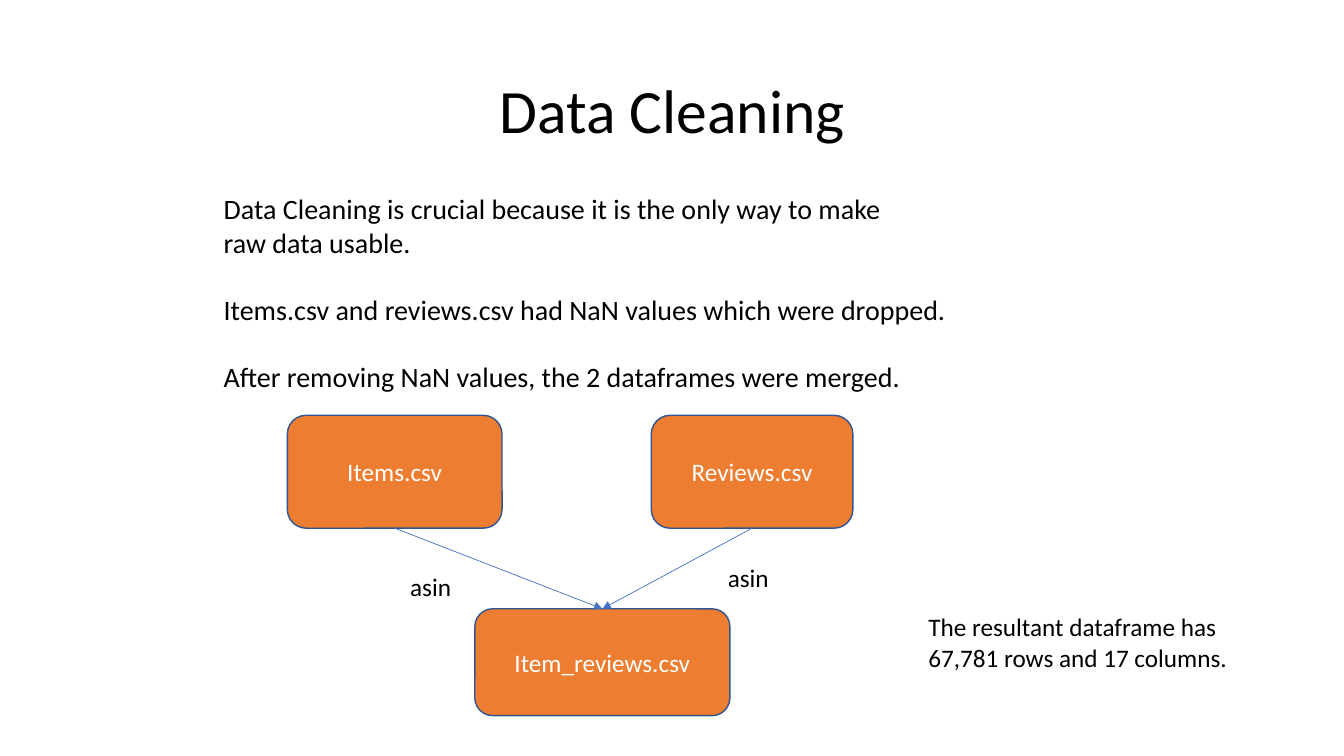
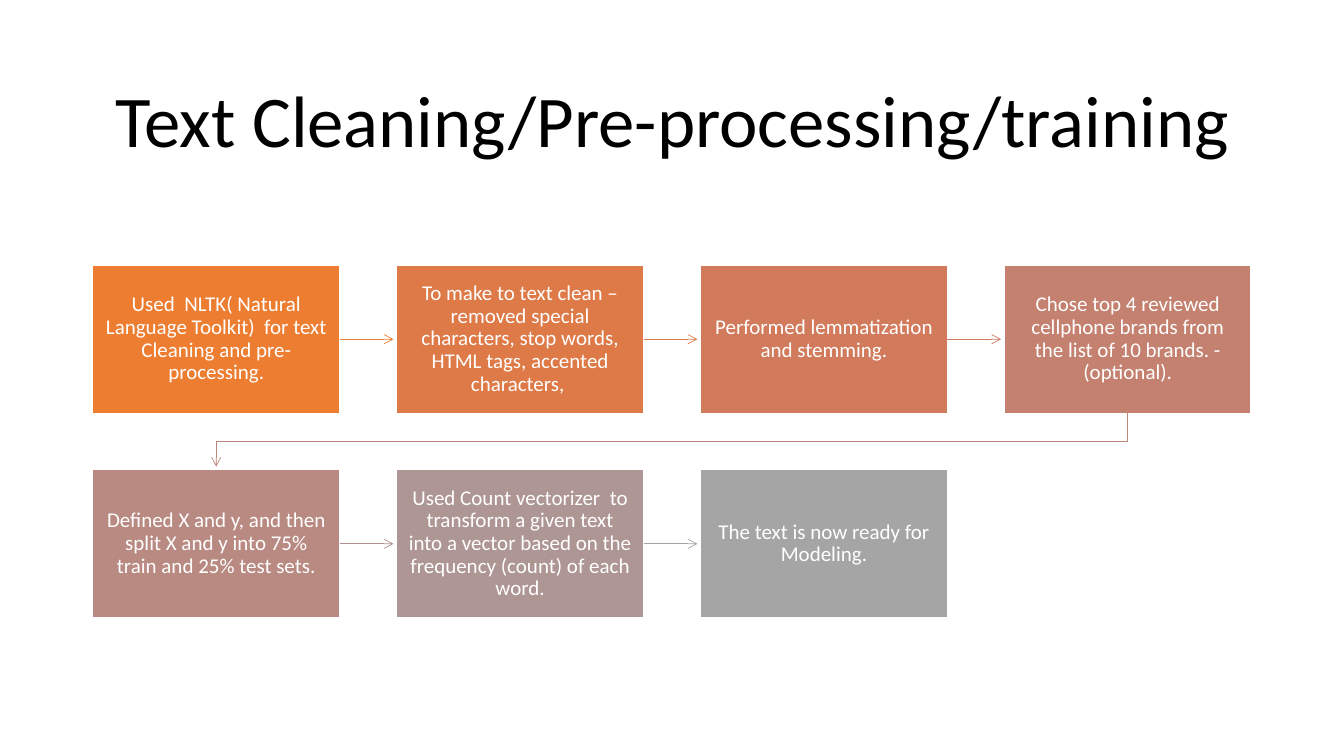
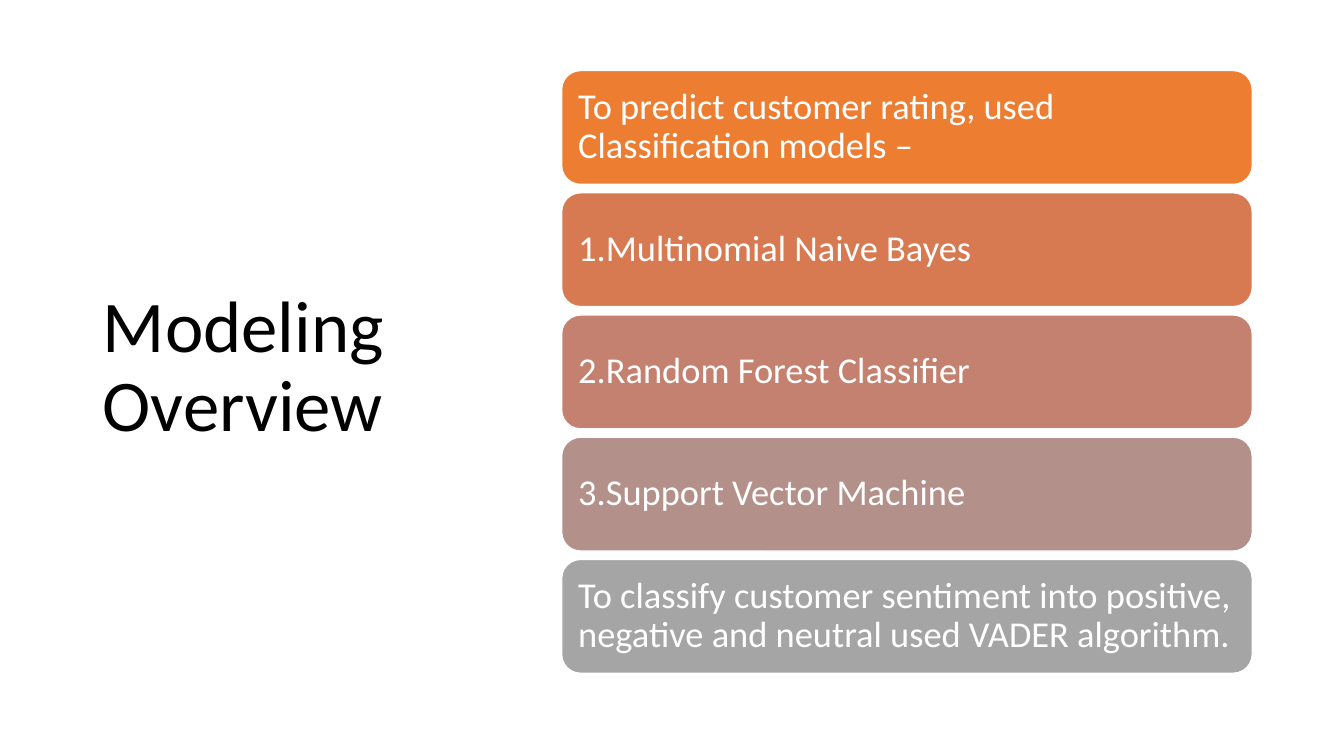
import pptx
import pptx.util
import pptx.dml.color
import pptx.enum.shapes
import pptx.enum.text
import pptx.oxml.ns
from lxml import etree

Inches, Pt = pptx.util.Inches, pptx.util.Pt
SHAPES = pptx.enum.shapes.MSO_SHAPE
ANCHOR = pptx.enum.text.MSO_ANCHOR
ALIGN = pptx.enum.text.PP_ALIGN

FONT = "Calibri"
BLACK, WHITE, ORANGE, GREY = "000000", "FFFFFF", "ED7D31", "A5A5A5"
NAVY, BLUE = "325491", "4472C4"
NBSP = chr(160)
MARGIN, CONTENT_WIDTH = 0.92, 11.49

CLEANING_NOTES = [
    f"Data Cleaning is crucial because it is the only way to make raw{NBSP}data{NBSP}usable.",
    "Items.csv and reviews.csv had NaN values which were dropped.",
    "After removing NaN values, the 2 dataframes were merged.",
]
RESULT_NOTES = ["The resultant dataframe has", "67,781 rows and 17 columns."]
SOURCE_FILES = [
    ("Items.csv", (2.85, 4.12, 2.13, 1.12)),
    ("Reviews.csv", (6.46, 4.12, 2, 1.12)),
]
MERGED_FILE = ("Item_reviews.csv", (4.71, 6.04, 2.53, 1.06))
JOIN_KEY = "asin"
JOIN_KEY_BOXES = [(7.12, 5.53, 0.84, 0.4), (3.97, 5.62, 0.73, 0.4)]

# Step text, box colour, colour of the arrow to the next step
STEPS = [
    ("Used  NLTK( Natural Language Toolkit)  for text Cleaning and pre-processing.",
     ORANGE, ORANGE),
    ("To make to text clean – removed special characters, stop words, HTML tags, "
     "accented characters, ", "DE7A47", "DC7A4B"),
    ("Performed lemmatization and stemming.", "D17B5C", "CC7D64"),
    ("Chose top 4 reviewed cellphone brands from the list of 10 brands. - (optional).",
     "C48170", "BD867B"),
    ("Defined X and y, and then split X and y into 75% train and 25% test sets.",
     "B98A82", "B09391"),
    ("Used Count vectorizer  to transform a given text into a vector based on the "
     "frequency (count) of each word.", "AE9694", GREY),
    ("The text is now ready for Modeling.", GREY, None),
]
MODELS = [
    ("To predict customer rating, used Classification models –", ORANGE),
    ("1.Multinomial Naive Bayes", "D87A51"),
    ("2.Random Forest Classifier", "C48170"),
    ("3.Support Vector Machine", "B4908B"),
    ("To classify customer sentiment into positive, negative and neutral used "
     "VADER algorithm.", GREY),
]


def color(value):
    return pptx.dml.color.RGBColor.from_string(value)


def inches(values):
    return [Inches(value) for value in values]


def write(frame, lines, size, text_color=BLACK, align=ALIGN.LEFT, anchor=ANCHOR.TOP,
          spacing=None, after=0, insets=(0.1, 0.05)):
    """Fill a text frame, one paragraph per line; insets are horizontal, vertical."""
    frame.word_wrap = True
    frame.auto_size = pptx.enum.text.MSO_AUTO_SIZE.NONE
    frame.vertical_anchor = anchor
    frame.margin_left = frame.margin_right = Inches(insets[0])
    frame.margin_top = frame.margin_bottom = Inches(insets[1])
    for index, line in enumerate(lines):
        paragraph = frame.add_paragraph() if index else frame.paragraphs[0]
        paragraph.alignment = align
        paragraph.space_after = Pt(after)
        if spacing:
            paragraph.line_spacing = spacing
        run = paragraph.add_run()
        run.text = line
        run.font.name, run.font.size = FONT, Pt(size)
        run.font.color.rgb = color(text_color)


def add_titled_slide(presentation, title, box, size, align=ALIGN.CENTER):
    slide = presentation.slides.add_slide(presentation.slide_layouts[5])
    shape = slide.shapes.title
    shape.left, shape.top, shape.width, shape.height = inches(box)
    write(shape.text_frame, [title], size, align=align, anchor=ANCHOR.MIDDLE, spacing=0.9)
    return slide


def add_text(slide, box, lines, size, after=0):
    write(slide.shapes.add_textbox(*inches(box)).text_frame, lines, size, after=after)


def add_box(slide, kind, box, text, fill, line, size, **style):
    shape = slide.shapes.add_shape(kind, *inches(box))
    shape.shadow.inherit = False
    shape.fill.solid()
    shape.fill.fore_color.rgb = color(fill)
    shape.line.color.rgb = color(line)
    shape.line.width = Pt(1)
    write(shape.text_frame, [text], size, WHITE, anchor=ANCHOR.MIDDLE, **style)


def style_arrow(shape, line_color, head):
    shape.line.color.rgb = color(line_color)
    shape.line.width = Pt(0.5)
    etree.SubElement(shape.line._get_or_add_ln(), pptx.oxml.ns.qn("a:tailEnd"), type=head)


def add_arrow(slide, start, end, line_color, head):
    connector = slide.shapes.add_connector(
        pptx.enum.shapes.MSO_CONNECTOR.STRAIGHT, *inches(start + end))
    style_arrow(connector, line_color, head)
    etree.SubElement(connector._element.spPr, pptx.oxml.ns.qn("a:effectLst"))


def add_bent_arrow(slide, points, line_color, head):
    start, *rest = [inches(point) for point in points]
    builder = slide.shapes.build_freeform(*start)
    builder.add_line_segments(rest, close=False)
    shape = builder.convert_to_shape()
    shape.shadow.inherit = False
    shape.fill.background()
    style_arrow(shape, line_color, head)


def build_data_cleaning(presentation):
    slide = add_titled_slide(presentation, "Data Cleaning", (MARGIN, 0.4, 11.5, 1.45), 44)
    add_text(slide, (2.12, 1.85, 8.17, 2.2), CLEANING_NOTES, 20, after=24)
    for text, box in SOURCE_FILES + [MERGED_FILE]:
        add_box(slide, SHAPES.ROUNDED_RECTANGLE, box, text, ORANGE, NAVY, 18,
                align=ALIGN.CENTER)
    for box in JOIN_KEY_BOXES:
        add_text(slide, box, [JOIN_KEY], 18)
    left, top, width, _ = MERGED_FILE[1]
    merge_point = (left + width / 2, top)
    for _, (left, top, width, height) in SOURCE_FILES:
        add_arrow(slide, (left + width / 2, top + height), merge_point, BLUE, "triangle")
    add_text(slide, (9.11, 6.02, 3.75, 0.7), RESULT_NOTES, 18)


def build_text_cleaning(presentation):
    slide = add_titled_slide(presentation, "Text Cleaning/Pre-processing/training",
                             (MARGIN, 0.61, 11.5, 1.24), 52)
    columns, width, height, row_pitch, gap = 4, 2.45, 1.47, 2.03, 0.03
    column_pitch = (CONTENT_WIDTH - width) / (columns - 1)

    def corner(index):
        row, column = divmod(index, columns)
        return MARGIN + column * column_pitch, 2.63 + row * row_pitch

    for index, (text, fill, arrow) in enumerate(STEPS):
        left, top = corner(index)
        add_box(slide, SHAPES.RECTANGLE, (left, top, width, height), text, fill, WHITE, 15,
                align=ALIGN.CENTER, spacing=0.9, insets=(0.12, 0.13))
        if not arrow:
            continue
        next_left, next_top = corner(index + 1)
        if next_top == top:
            middle = top + height / 2
            add_arrow(slide, (left + width, middle), (next_left - gap, middle),
                      arrow, "arrow")
        else:
            start, end = left + width / 2, next_left + width / 2
            bottom = top + height
            bend = (bottom + next_top) / 2
            add_bent_arrow(slide, [(start, bottom), (start, bend), (end, bend),
                                   (end, next_top - gap)], arrow, "arrow")


def build_modeling(presentation):
    slide = add_titled_slide(presentation, "Modeling Overview",
                             (MARGIN, 0.61, 3.69, 6.09), 52, ALIGN.LEFT)
    top, height, bottom = 0.7, 1.13, 6.68
    pitch = (bottom - top - height) / (len(MODELS) - 1)
    for index, (text, fill) in enumerate(MODELS):
        add_box(slide, SHAPES.ROUNDED_RECTANGLE, (5.57, top + index * pitch, 6.85, height),
                text, fill, WHITE, 26, spacing=0.9, insets=(0.11, 0.11))


def main():
    presentation = pptx.Presentation()
    presentation.slide_width, presentation.slide_height = inches((13.33, 7.5))
    build_data_cleaning(presentation)
    build_text_cleaning(presentation)
    build_modeling(presentation)
    presentation.save("out.pptx")


if __name__ == "__main__":
    main()
